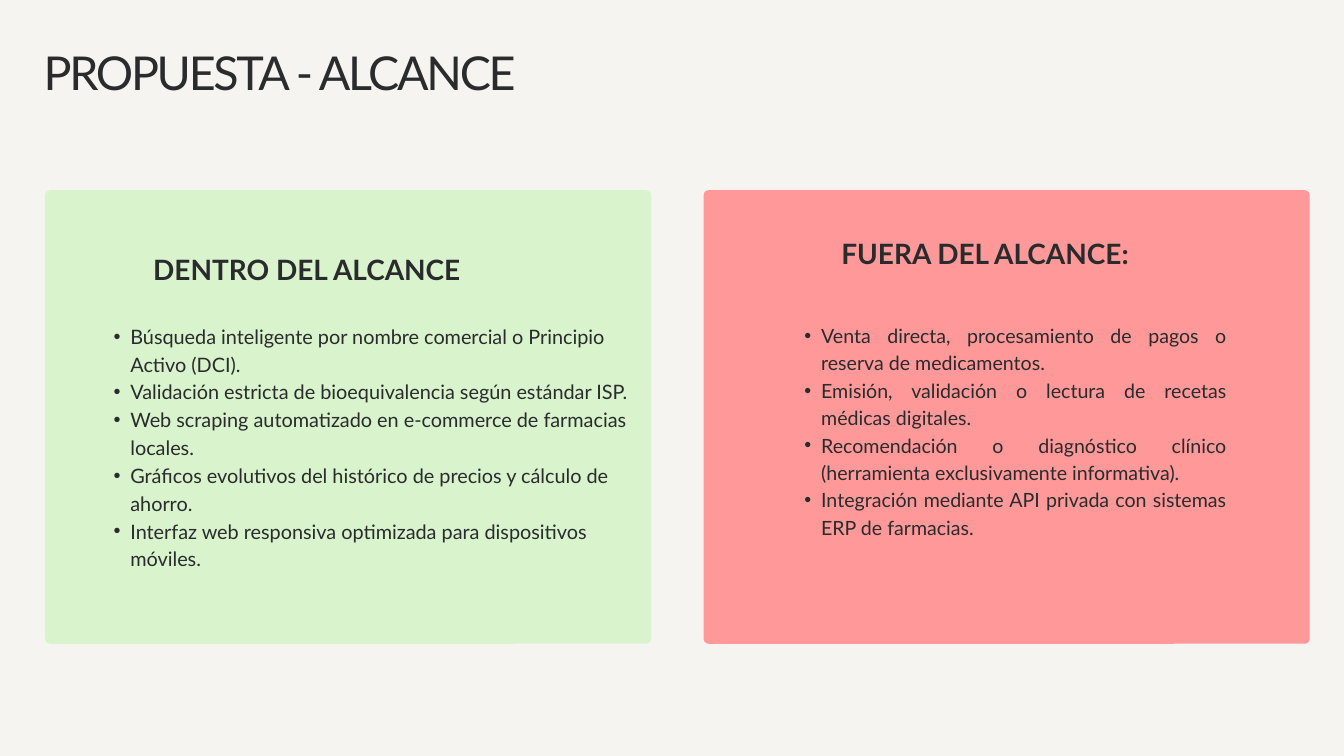
import pptx
import pptx.util
import pptx.dml.color
import pptx.enum.shapes
import pptx.enum.text
import pptx.oxml.ns
from lxml import etree

Inches = pptx.util.Inches
Pt = pptx.util.Pt
ALIGN = pptx.enum.text.PP_ALIGN

INK = "292B2D"
FONT = "Lato"
CARD_TOP, CARD_WIDTH, CARD_HEIGHT, CARD_RADIUS = 2.83, 9.02, 6.75, 0.075

IN_SCOPE = [
    "Búsqueda inteligente por nombre comercial o Principio Activo (DCI).",
    "Validación estricta de bioequivalencia según estándar ISP.",
    "Web scraping automatizado en e-commerce de farmacias locales.",
    "Gráficos evolutivos del histórico de precios y cálculo de ahorro.",
    "Interfaz web responsiva optimizada para dispositivos móviles.",
]
OUT_OF_SCOPE = [
    "Venta directa, procesamiento de pagos o reserva de medicamentos.",
    "Emisión, validación o lectura de recetas médicas digitales.",
    "Recomendación o diagnóstico clínico (herramienta exclusivamente informativa).",
    "Integración mediante API privada con sistemas ERP de farmacias.",
]


def color(value):
    return pptx.dml.color.RGBColor.from_string(value)


def add_bullet(p):
    pPr = p._p.get_or_add_pPr()
    pPr.set("marL", str(Inches(0.5)))
    pPr.set("indent", str(Inches(-0.25)))
    font = etree.SubElement(pPr, pptx.oxml.ns.qn("a:buFont"))
    font.set("typeface", "Arial")
    bullet = etree.SubElement(pPr, pptx.oxml.ns.qn("a:buChar"))
    bullet.set("char", "•")


def add_text(s, box, lines, size, leading, bold=False, bullets=False,
             align=ALIGN.LEFT, tracking=None):
    sp = s.shapes.add_textbox(*map(Inches, box))
    tf = sp.text_frame
    tf.word_wrap = True
    tf.margin_left = tf.margin_right = tf.margin_top = tf.margin_bottom = 0
    tf.text = "\n".join(lines)
    for p in tf.paragraphs:
        p.alignment = align
        p.line_spacing = Pt(leading)
        if bullets:
            p.level = 1
            add_bullet(p)
        for r in p.runs:
            r.font.name = FONT
            r.font.size = Pt(size)
            r.font.bold = bold
            r.font.color.rgb = color(INK)
            if tracking is not None:
                r._r.get_or_add_rPr().set("spc", str(round(tracking * 100)))


def add_card(s, left, fill):
    sp = s.shapes.add_shape(
        pptx.enum.shapes.MSO_SHAPE.ROUNDED_RECTANGLE,
        Inches(left), Inches(CARD_TOP), Inches(CARD_WIDTH), Inches(CARD_HEIGHT))
    sp.adjustments[0] = CARD_RADIUS / CARD_HEIGHT
    sp.shadow.inherit = False
    sp.fill.solid()
    sp.fill.fore_color.rgb = color(fill)
    sp.line.fill.background()


def add_heading(s, box, text):
    add_text(s, box, [text], 30, 36, bold=True)


def main():
    prs = pptx.Presentation()
    prs.slide_width, prs.slide_height = Inches(20), Inches(11.25)
    s = prs.slides.add_slide(prs.slide_layouts[6])
    s.background.fill.solid()
    s.background.fill.fore_color.rgb = color("F6F4F1")

    # Title
    add_text(s, (0.65, 0.86, 9.57, 0.68), ["PROPUESTA - ALCANCE"], 50, 45,
             tracking=-2.5)

    # Out of scope
    add_card(s, 10.47, "FF9999")
    add_text(s, (11.72, 4.76, 6.53, 3.66), OUT_OF_SCOPE, 21, 29.4,
             bullets=True, align=ALIGN.JUSTIFY)
    add_heading(s, (12.52, 3.52, 4.93, 0.49), "FUERA DEL ALCANCE:")

    # In scope
    add_card(s, 0.67, "D9F4CD")
    add_text(s, (1.44, 4.77, 7.98, 4.06), IN_SCOPE, 21.3, 29.8, bullets=True)
    add_heading(s, (2.28, 3.76, 5.82, 0.98), "DENTRO DEL ALCANCE")

    prs.save("out.pptx")


if __name__ == "__main__":
    main()
